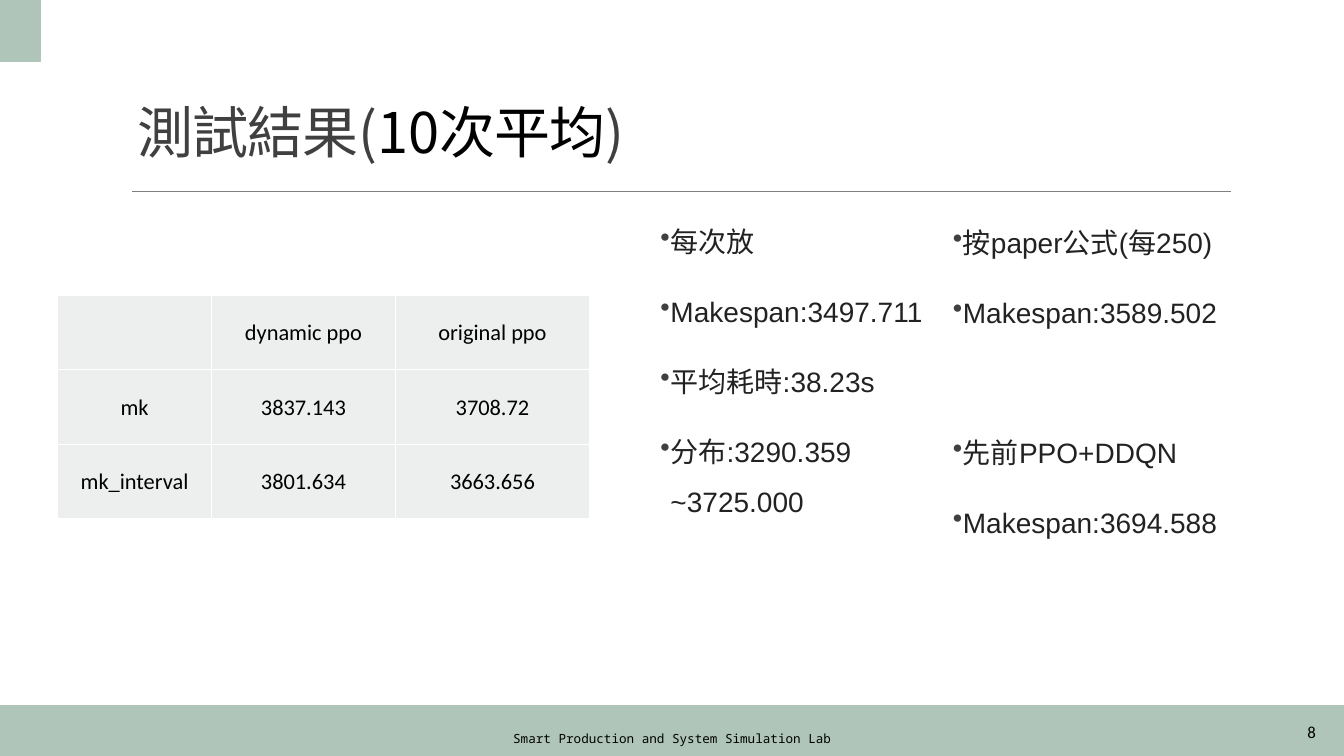
from lxml import etree
from pptx import Presentation
from pptx.dml.color import RGBColor
from pptx.enum.shapes import MSO_CONNECTOR, MSO_SHAPE
from pptx.enum.text import MSO_ANCHOR, MSO_AUTO_SIZE, PP_ALIGN
from pptx.oxml.ns import qn
from pptx.util import Inches, Pt

SAGE = RGBColor(0xAF, 0xC5, 0xB9)
PALE = RGBColor(0xEC, 0xEF, 0xED)
GRAY = RGBColor(0x80, 0x80, 0x80)
DARK = RGBColor(0x40, 0x40, 0x40)
INK = RGBColor(0x22, 0x22, 0x22)
BLACK = RGBColor(0, 0, 0)
CJK = "Noto Sans CJK SC"


def add_run(p, text, font, size, color):
    """Add a run whose Latin and East Asian text use the same font."""
    r = p.add_run()
    r.text = text
    r.font.name, r.font.size, r.font.color.rgb = font, Pt(size), color
    etree.SubElement(r.font._element, qn("a:ea"), typeface=font)
    return r


def add_box(left, top, width, height):
    box = slide.shapes.add_textbox(Inches(left), Inches(top), Inches(width), Inches(height))
    box.text_frame.word_wrap = True
    return box.text_frame


prs = Presentation()
prs.slide_width, prs.slide_height = Inches(13.33), Inches(7.5)
slide = prs.slides.add_slide(prs.slide_layouts[5])

# Footer band, corner block and title rule
for left, top, width, height in [(0, 7, 13.33, 0.5), (0, 0, 0.4, 0.61)]:
    sp = slide.shapes.add_shape(MSO_SHAPE.RECTANGLE, Inches(left), Inches(top),
                                Inches(width), Inches(height))
    sp.shadow.inherit = False
    sp.fill.solid()
    sp.fill.fore_color.rgb = SAGE
    sp.line.color.rgb = SAGE
    sp.line.width = Pt(1.25)

rule = slide.shapes.add_connector(MSO_CONNECTOR.STRAIGHT, Inches(1.31), Inches(1.9),
                                  Inches(12.21), Inches(1.9))
rule.line.color.rgb = GRAY
rule.line.width = Pt(0.5)
etree.SubElement(rule._element.spPr, qn("a:effectLst"))

# Title
title = slide.shapes.title
title.left, title.top = Inches(1.26), Inches(1.09)
title.width, title.height = Inches(10.46), Inches(0.6)
tf = title.text_frame
tf.auto_size = MSO_AUTO_SIZE.NONE
tf.vertical_anchor = MSO_ANCHOR.BOTTOM
p = tf.paragraphs[0]
p.alignment = PP_ALIGN.LEFT
p.line_spacing = 0.85
for text, color in [("測試結果(", DARK), ("10次平均", BLACK), (")", DARK)]:
    r = add_run(p, text, CJK, 40, color)
    r.font._element.set("spc", "-50")

# Footer and slide number
for place, text, font, size, align in [
    ((4.03, 7.19, 5.27, 0.28), "Smart Production and System Simulation Lab",
     "Noto Sans Mono", 9, PP_ALIGN.CENTER),
    ((11.72, 7.06, 1.43, 0.4), "8", "Calibri", 12, PP_ALIGN.RIGHT),
]:
    tf = add_box(*place)
    tf.vertical_anchor = MSO_ANCHOR.MIDDLE
    p = tf.paragraphs[0]
    p.alignment = align
    add_run(p, text, font, size, BLACK)

# Result lists: each item is its lines and the space before it
columns = [
    ((6.55, 2.01, 2.68, 4.67), [
        (["每次放"], 0),
        (["Makespan:3497.711"], 12),
        (["平均耗時:38.23s"], 12),
        (["分布:3290.359", "~3725.000"], 12),
    ]),
    ((9.45, 2.02, 3.52, 5.05), [
        (["按paper公式(每250)"], 0),
        (["Makespan:3589.502"], 12),
        (["先前PPO+DDQN"], 62),
        (["Makespan:3694.588"], 12),
    ]),
]
for place, items in columns:
    tf = add_box(*place)
    tf.margin_left = tf.margin_right = 0
    for i, (lines, before) in enumerate(items):
        p = tf.add_paragraph() if i else tf.paragraphs[0]
        p.line_spacing = 1.5
        p.space_before, p.space_after = Pt(before), Pt(2)
        pPr = p._p.get_or_add_pPr()
        pPr.set("marL", str(Inches(0.1)))
        pPr.set("indent", str(-Inches(0.1)))
        bullet_color = etree.SubElement(pPr, qn("a:buClr"))
        etree.SubElement(bullet_color, qn("a:srgbClr"), val=str(DARK))
        etree.SubElement(pPr, qn("a:buChar"), char="•")
        for j, line in enumerate(lines):
            if j:
                p.add_line_break()
            add_run(p, line, "Arial", 20, INK)

# Makespan table
rows = [
    ["", "dynamic ppo", "original ppo"],
    ["mk", "3837.143", "3708.72"],
    ["mk_interval", "3801.634", "3663.656"],
]
table = slide.shapes.add_table(3, 3, Inches(0.57), Inches(2.93),
                               Inches(5.28), Inches(2.22)).table
for col, width in zip(table.columns, [1.53, 1.82, 1.93]):
    col.width = Inches(width)
for row, values in zip(table.rows, rows):
    row.height = Inches(0.74)
    for cell, value in zip(row.cells, values):
        cell.vertical_anchor = MSO_ANCHOR.MIDDLE
        cell.margin_left = cell.margin_right = cell.margin_top = Inches(0.01)
        cell.margin_bottom = 0
        tcPr = cell._tc.get_or_add_tcPr()
        for side in ("lnL", "lnR", "lnT", "lnB"):
            ln = etree.SubElement(tcPr, qn(f"a:{side}"), w=str(Pt(1)))
            fill = etree.SubElement(ln, qn("a:solidFill"))
            etree.SubElement(fill, qn("a:srgbClr"), val="FFFFFF")
        cell.fill.solid()
        cell.fill.fore_color.rgb = PALE
        if value:
            p = cell.text_frame.paragraphs[0]
            p.alignment = PP_ALIGN.CENTER
            add_run(p, value, "Calibri", 16, BLACK)

prs.save("out.pptx")
